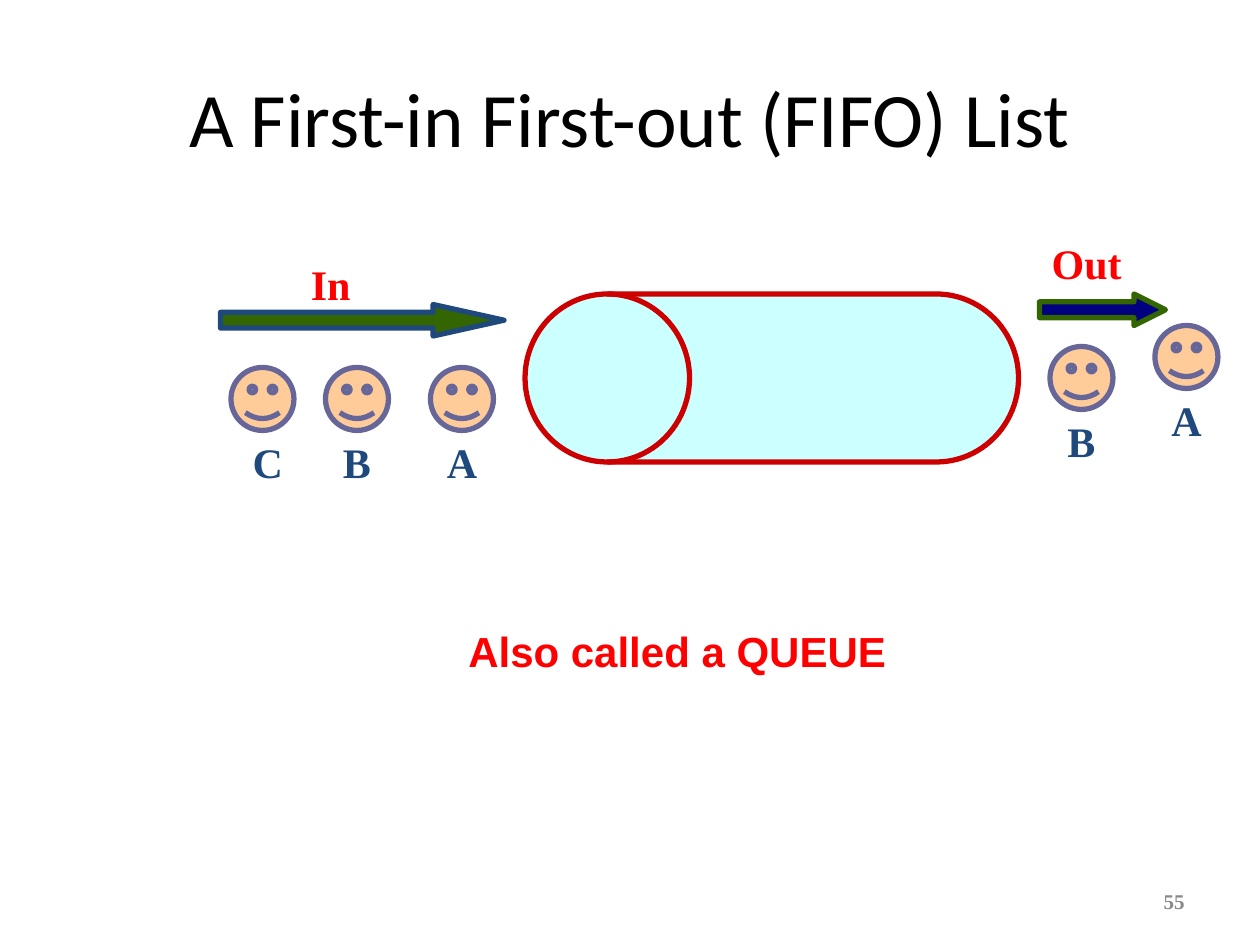
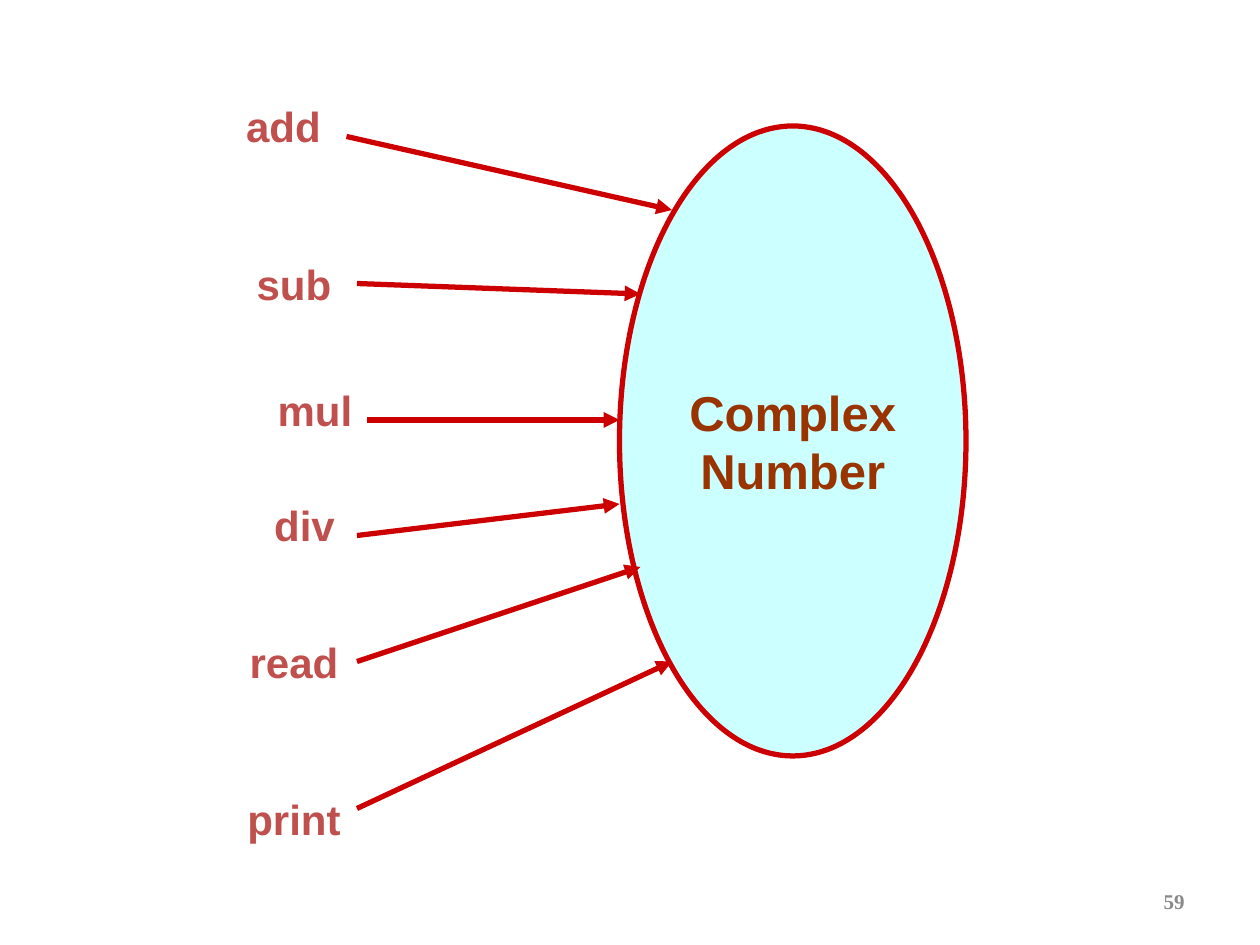
from collections import namedtuple

from lxml.etree import SubElement
from pptx import Presentation
from pptx.dml.color import RGBColor
from pptx.enum.shapes import MSO_CONNECTOR as CONNECTOR
from pptx.enum.shapes import MSO_SHAPE as SHAPE
from pptx.enum.text import MSO_ANCHOR as ANCHOR
from pptx.enum.text import PP_ALIGN as ALIGN
from pptx.oxml.ns import qn
from pptx.util import Pt

BLACK = RGBColor(0x00, 0x00, 0x00)
GRAY = RGBColor(0x89, 0x89, 0x89)
BRIGHT_RED = RGBColor(0xFF, 0x00, 0x00)
RED = RGBColor(0xCC, 0x00, 0x00)
BRICK = RGBColor(0xC0, 0x50, 0x4D)
BROWN = RGBColor(0x99, 0x33, 0x00)
AQUA = RGBColor(0xCC, 0xFF, 0xFF)
GREEN = RGBColor(0x33, 0x66, 0x00)
NAVY = RGBColor(0x00, 0x00, 0x80)
BLUE = RGBColor(0x1F, 0x49, 0x7D)
PEACH = RGBColor(0xFF, 0xCC, 0x99)
SLATE = RGBColor(0x66, 0x66, 0x99)

SANS, SERIF, TITLE_FONT = "Arial", "Times New Roman", "Calibri"
LINE_WIDTH = Pt(3)
LABEL_HEIGHT = 36
FACE_SIZE = 36

Box = namedtuple("Box", "left top width height")

SLIDE_BOX = Box(0, 0, 720, 540)
TITLE_BOX = Box(36, 21.6, 648, 90)
NUMBER_BOX = Box(516, 500.4, 168, 28.8)


def in_points(box):
    return [Pt(length) for length in box]


def inside(box, left, top, width, height):
    """Turn a place relative to a box into a place on the slide."""
    return Box(box.left + left, box.top + top, width, height)


def write_text(shape, text, size=24, font=SANS, color=BRIGHT_RED, bold=True,
               align=ALIGN.CENTER, anchor=ANCHOR.TOP, wrap=True):
    frame = shape.text_frame
    frame.word_wrap = wrap
    frame.vertical_anchor = anchor
    frame.text = text
    for paragraph in frame.paragraphs:
        paragraph.alignment = align
        paragraph.font.name = font
        paragraph.font.size = Pt(size)
        paragraph.font.bold = bold
        paragraph.font.color.rgb = color


def add_text(shapes, box, text, **text_format):
    write_text(shapes.add_textbox(*in_points(box)), text, **text_format)


def add_outlined(shapes, kind, box, fill, line):
    shape = shapes.add_shape(kind, *in_points(box))
    shape.shadow.inherit = False
    shape.fill.solid()
    shape.fill.fore_color.rgb = fill
    shape.line.color.rgb = line
    shape.line.width = LINE_WIDTH
    return shape


def add_block_arrow(shapes, box, fill, line, head_length):
    arrow = add_outlined(shapes, SHAPE.RIGHT_ARROW, box, fill, line)
    arrow.adjustments[1] = head_length


def add_arrow_line(shapes, start, end):
    connector = shapes.add_connector(
        CONNECTOR.STRAIGHT, *[Pt(value) for value in (*start, *end)])
    connector.line.color.rgb = RED
    connector.line.width = LINE_WIDTH
    SubElement(connector.get_or_add_ln(), qn("a:tailEnd"), type="triangle")
    SubElement(connector._element.spPr, qn("a:effectLst"))


def add_person(shapes, box, name):
    """Group a smiling face with the name under it."""
    group = shapes.add_group_shape().shapes
    add_outlined(group, SHAPE.SMILEY_FACE,
                 inside(box, 6, 0, FACE_SIZE, FACE_SIZE), PEACH, SLATE)
    add_text(group, inside(box, 0, FACE_SIZE, box.width, LABEL_HEIGHT), name,
             font=SERIF, color=BLUE)


def add_people_line(shapes, box, heading, heading_left, people):
    """Place a heading at the top of the box and people below it."""
    add_text(shapes, inside(box, heading_left, 0, 66, LABEL_HEIGHT), heading,
             font=SERIF)
    for name, left, top, width in people:
        add_person(shapes, inside(box, left, top, width, 72), name)


def add_page_number(slide, number):
    add_text(slide.shapes, NUMBER_BOX, str(number), size=12, font=SERIF,
             color=GRAY, align=ALIGN.RIGHT, anchor=ANCHOR.MIDDLE)


def add_blank_slide(presentation, number):
    slide = presentation.slides.add_slide(presentation.slide_layouts[6])
    add_page_number(slide, number)
    return slide


def fill_queue_slide(slide, box):
    shapes = slide.shapes
    add_text(shapes, TITLE_BOX, "A First-in First-out (FIFO) List", size=44,
             font=TITLE_FONT, color=BLACK, bold=False, anchor=ANCHOR.MIDDLE)

    drum = add_outlined(shapes, SHAPE.FLOWCHART_DIRECT_ACCESS_STORAGE,
                        inside(box, 300, 168, 282, 96), AQUA, RED)
    drum.rotation = 180
    add_block_arrow(shapes, inside(box, 126, 174, 162, 18), GREEN, BLUE, 2.25)
    add_block_arrow(shapes, inside(box, 594, 168, 72, 18), NAVY, GREEN, 1)
    add_text(shapes, inside(box, 192, 354, 390, LABEL_HEIGHT),
             "Also called a QUEUE")

    add_people_line(shapes, inside(box, 126, 144, 162, 138), "In", 30,
                    [("C", 0, 66, 54), ("B", 54, 66, 48), ("A", 114, 66, 48)])
    add_people_line(shapes, inside(box, 588, 132, 114, 138), "Out", 0,
                    [("B", 6, 66, 48), ("A", 66, 54, 48)])


def fill_operations_slide(slide, box):
    shapes = slide.shapes
    data_type = add_outlined(shapes, SHAPE.OVAL,
                             inside(box, 354, 72, 198, 360), AQUA, RED)
    write_text(data_type, "Complex\nNumber", size=28, color=BROWN,
               anchor=ANCHOR.MIDDLE, wrap=False)

    # name, label corner, arrow start, arrow end
    operations = [
        ("add", (126, 54), (198, 78), (384, 120)),
        ("sub", (132, 144), (204, 162), (366, 168)),
        ("mul", (144, 216), (210, 240), (354, 240)),
        ("div", (138, 282), (204, 306), (354, 288)),
        ("read", (132, 360), (204, 378), (366, 324)),
        ("print", (132, 450), (204, 462), (384, 378)),
    ]
    for name, corner, start, end in operations:
        add_text(shapes, inside(box, *corner, 72, LABEL_HEIGHT), name,
                 color=BRICK)
        add_arrow_line(shapes, *[(box.left + x, box.top + y)
                                 for x, y in (start, end)])


def main():
    presentation = Presentation()
    presentation.slide_width = Pt(SLIDE_BOX.width)
    presentation.slide_height = Pt(SLIDE_BOX.height)
    fill_queue_slide(add_blank_slide(presentation, 55), SLIDE_BOX)
    fill_operations_slide(add_blank_slide(presentation, 59), SLIDE_BOX)
    presentation.save("out.pptx")


if __name__ == "__main__":
    main()
